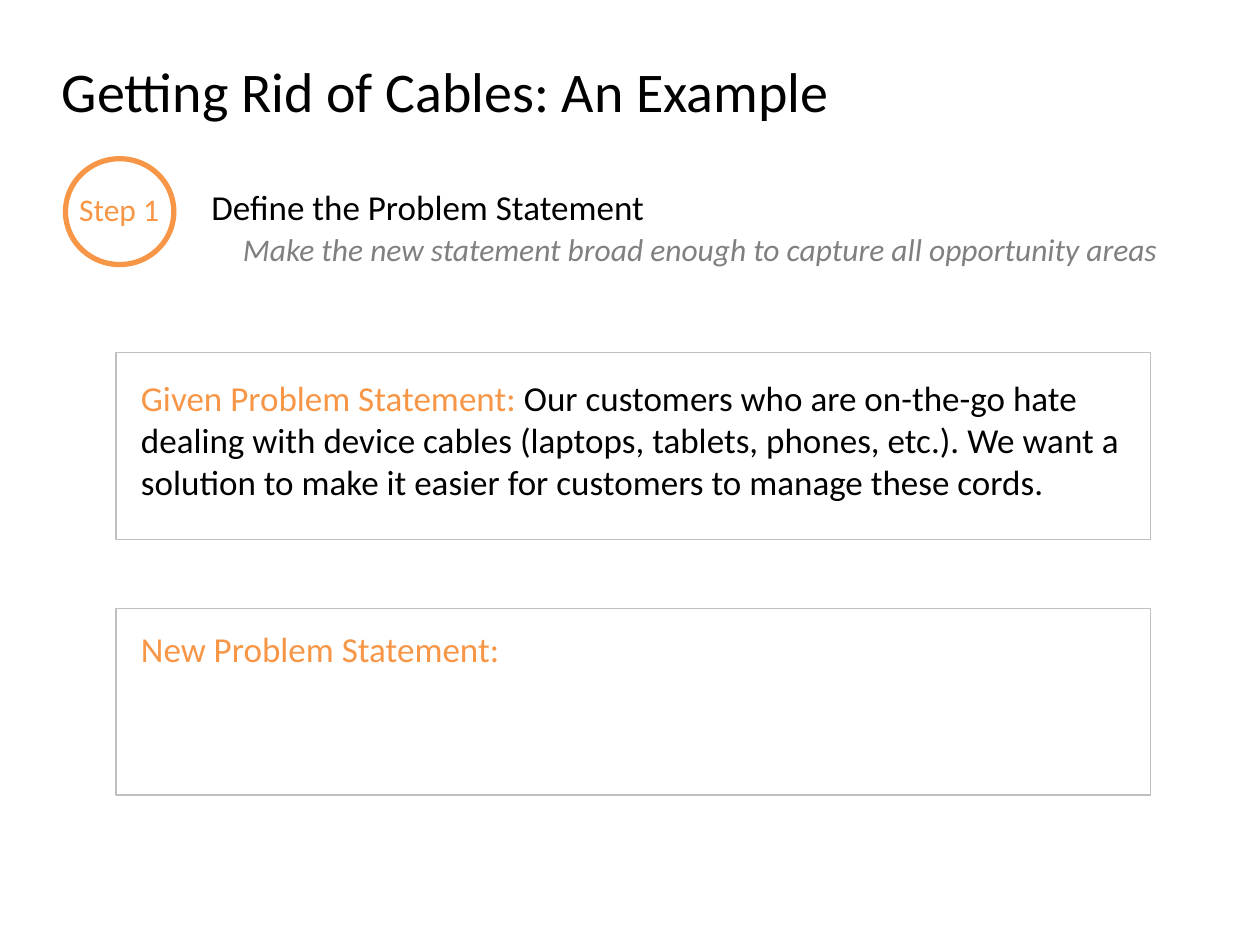
import pptx
import pptx.util
import pptx.dml.color
import pptx.enum.shapes
import pptx.enum.text

Inches = pptx.util.Inches
COLORS = {"black": "000000", "orange": "F79646", "gray": "808080", "edge": "BFBFBF"}


class Deck:
    font = "Calibri"

    def __init__(self):
        self.prs = pptx.Presentation()
        self.prs.slide_width = Inches(10)
        self.prs.slide_height = Inches(7.5)
        self.slide = self.prs.slides.add_slide(self.prs.slide_layouts[5])

    def color(self, name):
        return pptx.dml.color.RGBColor.from_string(COLORS[name])

    def fill_text(self, frame, runs, size, italic=False):
        frame.word_wrap = True
        frame.auto_size = pptx.enum.text.MSO_AUTO_SIZE.NONE
        frame.vertical_anchor = pptx.enum.text.MSO_ANCHOR.MIDDLE
        para = frame.paragraphs[0]
        para.alignment = pptx.enum.text.PP_ALIGN.LEFT
        para.font.name = self.font
        para.font.size = pptx.util.Pt(size)
        para.font.italic = italic
        for words, name in runs:
            run = para.add_run()
            run.text = words
            run.font.color.rgb = self.color(name)

    def title(self, box, words, size):
        head = self.slide.shapes.title
        head.left, head.top, head.width, head.height = map(Inches, box)
        self.fill_text(head.text_frame, [(words, "black")], size)

    def text(self, box, runs, size, italic=False):
        label = self.slide.shapes.add_textbox(*map(Inches, box))
        self.fill_text(label.text_frame, runs, size, italic)

    def frame(self, kind, box, name, width):
        shape = self.slide.shapes.add_shape(kind, *map(Inches, box))
        shape.shadow.inherit = False
        shape.fill.background()
        shape.line.color.rgb = self.color(name)
        shape.line.width = pptx.util.Pt(width)


def main():
    deck = Deck()
    kinds = pptx.enum.shapes.MSO_SHAPE

    # Title
    deck.title((0.39, 0.34, 7.79, 0.75), "Getting Rid of Cables: An Example", 32)

    # Step badge and heading
    deck.text((0.53, 1.34, 1.13, 0.63), [("Step 1", "orange")], 18)
    deck.text((1.83, 1.66, 7.52, 0.63),
              [("Make the new statement broad enough to capture all opportunity areas", "gray")],
              18, italic=True)
    deck.text((1.58, 1.32, 5.54, 0.63), [("Define the Problem Statement", "black")], 20)
    deck.frame(kinds.OVAL, (0.52, 1.26, 0.86, 0.84), "orange", 3)

    # Problem statements
    deck.text((1.02, 2.95, 8.19, 1.08),
              [("Given Problem Statement:", "orange"),
               (" Our customers who are on-the-go hate dealing with device cables "
                "(laptops, tablets, phones, etc.). We want a solution to make it easier "
                "for customers to manage these cords.", "black")], 20)
    deck.text((1.02, 4.88, 8.19, 0.53), [("New Problem Statement:", "orange")], 20)

    # Statement frames
    for top in (2.8, 4.83):
        deck.frame(kinds.RECTANGLE, (0.92, top, 8.21, 1.48), "edge", 0.75)

    deck.prs.save("out.pptx")


if __name__ == "__main__":
    main()
